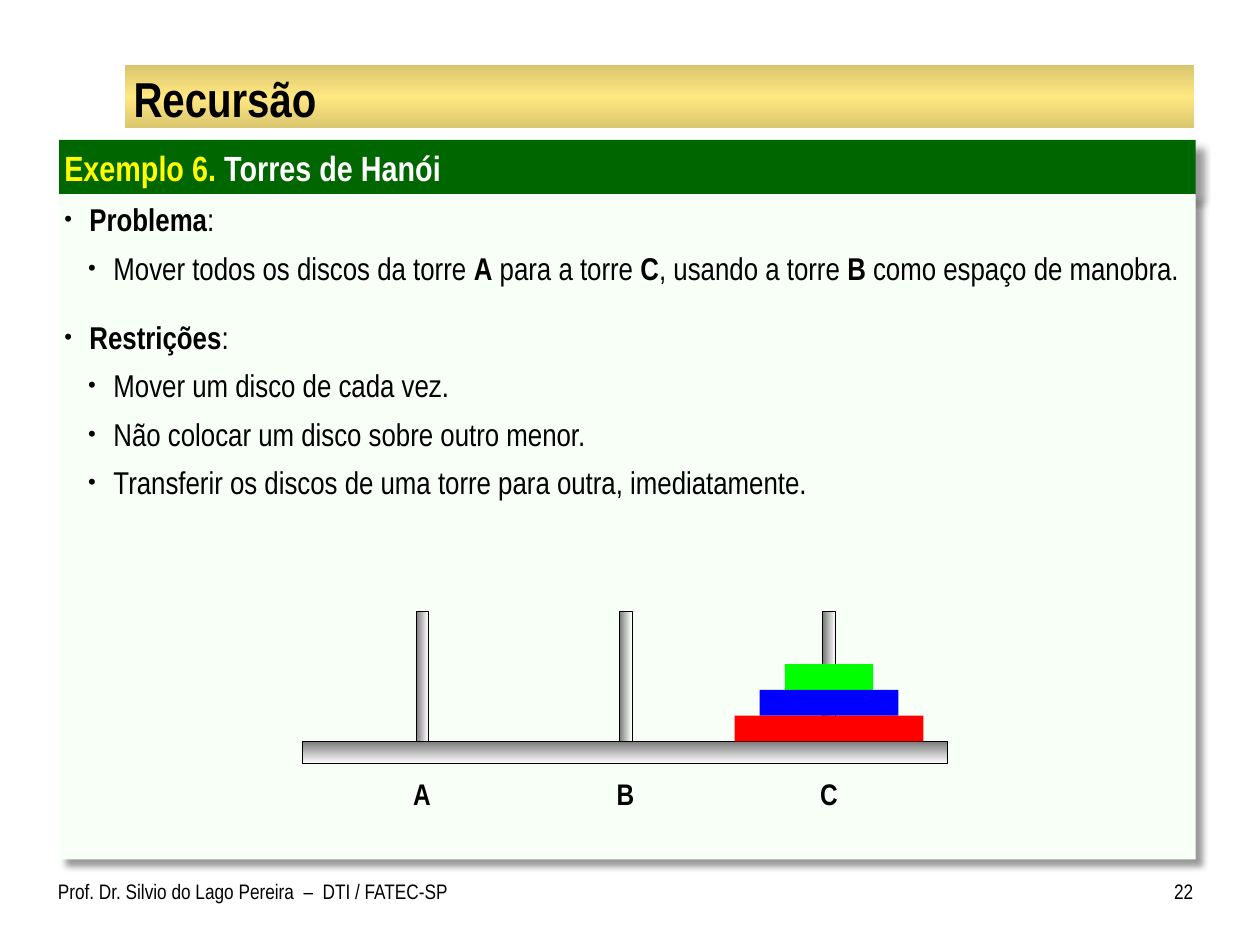
from copy import deepcopy

from lxml import etree
from pptx import Presentation
from pptx.dml.color import RGBColor
from pptx.enum import shapes, text
from pptx.oxml import ns
from pptx.util import Inches, Pt

FONT = "Arial Narrow"
BLACK = RGBColor(0, 0, 0)
WHITE = RGBColor(255, 255, 255)
YELLOW = RGBColor(255, 255, 0)
DARK_GREEN = RGBColor(0x00, 0x66, 0x00)
PALE_GREEN = RGBColor(0xF7, 0xFF, 0xF7)
GRAY = RGBColor(0x76, 0x76, 0x76)
GOLD = RGBColor(0xDA, 0xC6, 0x6E)
LIGHT_GOLD = RGBColor(0xFF, 0xE7, 0x81)
RED = RGBColor(255, 0, 0)
GREEN = RGBColor(0, 255, 0)
BLUE = RGBColor(0, 0, 255)

SHADOW = (
    '<a:effectLst xmlns:a="http://schemas.openxmlformats.org/drawingml/2006/main">'
    '<a:outerShdw blurRad="50800" dist="76200" dir="2700000" algn="tl" rotWithShape="0">'
    '<a:srgbClr val="000000"><a:alpha val="40000"/></a:srgbClr>'
    "</a:outerShdw></a:effectLst>"
)

prs = Presentation()
prs.slide_width, prs.slide_height = Inches(10), Inches(7.5)
slide = prs.slides.add_slide(prs.slide_layouts[1])
tree = slide.shapes


def add_box(x, y, w, h, colors, angle=0, outlined=False):
    """Rectangle with one solid colour or an evenly spaced gradient."""
    sp = tree.add_shape(shapes.MSO_SHAPE.RECTANGLE, Inches(x), Inches(y), Inches(w), Inches(h))
    sp.shadow.inherit = False
    if len(colors) == 1:
        sp.fill.solid()
        sp.fill.fore_color.rgb = colors[0]
    else:
        sp.fill.gradient()
        sp.fill.gradient_angle = angle
        stops = sp._element.spPr.find(ns.qn("a:gradFill")).find(ns.qn("a:gsLst"))
        while len(stops) < len(colors):
            stops.append(deepcopy(stops[0]))
        for i, (stop, color) in enumerate(zip(sp.fill.gradient_stops, colors)):
            stop.position = i / (len(colors) - 1)
            stop.color.rgb = color
    if outlined:
        sp.line.color.rgb = BLACK
        sp.line.width = Pt(0.25)
    else:
        sp.line.fill.background()
    return sp


def set_text(sp, content, size, margins, align=text.PP_ALIGN.LEFT,
             anchor=text.MSO_ANCHOR.TOP, bold=False, wrap=True):
    """Write one paragraph; margins are left, top, right, bottom."""
    tf = sp.text_frame
    tf.auto_size = text.MSO_AUTO_SIZE.NONE
    tf.word_wrap = wrap
    tf.vertical_anchor = anchor
    tf.margin_left, tf.margin_top, tf.margin_right, tf.margin_bottom = map(Inches, margins)
    p = tf.paragraphs[0]
    p.text = content
    p.alignment = align
    p.font.name, p.font.size, p.font.bold = FONT, Pt(size), bold
    p.font.color.rgb = BLACK
    return p


# Title on a gold band
band = add_box(0.99, 0.52, 8.49, 0.5, [GOLD, LIGHT_GOLD, GOLD], 270)
title = tree.title
title.left, title.top, title.width, title.height = map(Inches, (1, 0.54, 8.47, 0.47))
set_text(title, "Recursão", 28, (0.06, 0.01, 0.06, 0.01),
         anchor=text.MSO_ANCHOR.MIDDLE, bold=True)

# Example heading
heading = add_box(0.47, 1.11, 9.02, 0.44, [DARK_GREEN])
p = set_text(heading, "Exemplo 6.", 20, (0.04, 0.05, 0.04, 0.05), bold=True)
p.runs[0].font.color.rgb = YELLOW
r = p.add_run()
r.text = " Torres de Hanói"
r.font.color.rgb = WHITE

# Band and heading lie behind the placeholders
for sp in (heading, band):
    tree._spTree.insert(2, sp._element)

# Body list: level, space before, runs alternating between plain and bold
items = [
    (0, 0, ["", "Problema", ":"]),
    (1, 6, ["Mover todos os discos da torre ", "A", " para a torre ", "C",
            ", usando a torre ", "B", " como espaço de manobra."]),
    (0, 18, ["", "Restrições", ":"]),
    (1, 6, ["Mover um disco de cada vez."]),
    (1, 6, ["Não colocar um disco sobre outro menor."]),
    (1, 6, ["Transferir os discos de uma torre para outra, imediatamente."]),
]
body = tree.placeholders[1]
body.left, body.top, body.width, body.height = map(Inches, (0.47, 1.54, 9.02, 5.28))
body.fill.solid()
body.fill.fore_color.rgb = PALE_GREEN
tf = body.text_frame
tf.auto_size = text.MSO_AUTO_SIZE.NONE
tf.word_wrap = True
tf.vertical_anchor = text.MSO_ANCHOR.TOP
tf.margin_left = tf.margin_right = Inches(0.04)
tf.margin_top = tf.margin_bottom = Inches(0.05)
for i, (level, before, parts) in enumerate(items):
    p = tf.add_paragraph() if i else tf.paragraphs[0]
    p.level = level
    p.space_before = Pt(before)
    p.font.name, p.font.size = FONT, Pt(18)
    p.font.color.rgb = BLACK
    for j, part in enumerate(parts):
        if part:
            r = p.add_run()
            r.text = part
            r.font.bold = j % 2 == 1
    pPr = p._p.get_or_add_pPr()
    pPr.set("marL", str(Inches((0.2, 0.39)[level])))
    pPr.set("indent", str(Inches(-0.2)))
    bullet = [("buSzPct", "val", "70000"), ("buFont", "typeface", "Arial"), ("buChar", "char", "•")]
    at = pPr.index(pPr.find(ns.qn("a:defRPr")))
    for k, (tag, key, value) in enumerate(bullet):
        el = etree.Element(ns.qn("a:" + tag))
        el.set(key, value)
        pPr.insert(at + k, el)

# Shadows of the heading and the body
for sp in (heading, body):
    sp.shadow.inherit = False
    spPr = sp._element.spPr
    spPr.replace(spPr.find(ns.qn("a:effectLst")), etree.fromstring(SHADOW))

# Footer and page number
footer = tree.add_textbox(Inches(0.46), Inches(6.92), Inches(3.27), Inches(0.42))
set_text(footer, "Prof. Dr. Silvio do Lago Pereira  –  DTI / FATEC-SP", 12, (0, 0.05, 0.1, 0.05))
number = tree.add_textbox(Inches(9.08), Inches(6.92), Inches(0.39), Inches(0.42))
set_text(number, "22", 12, (0.1, 0.05, 0, 0.05), align=text.PP_ALIGN.RIGHT)

# Base and the three labelled towers
add_box(2.4, 5.88, 5.12, 0.18, [GRAY, WHITE], 270, outlined=True)
for i, name in enumerate("ABC"):
    center = 3.35 + 1.615 * i
    add_box(center - 0.05, 4.85, 0.1, 1.03, [GRAY, WHITE], outlined=True)
    label = tree.add_textbox(Inches(center - 0.2), Inches(6.09), Inches(0.4), Inches(0.41))
    set_text(label, name, 17, (0.1, 0.05, 0.1, 0.05), align=text.PP_ALIGN.CENTER,
             anchor=text.MSO_ANCHOR.MIDDLE, bold=True, wrap=False)

# Discs stacked on the last tower, smallest on top
for i, color in enumerate((GREEN, BLUE, RED)):
    width = 0.7 + 0.4 * i
    add_box(center - width / 2, 5.27 + 0.205 * i, width, 0.205, [color])

prs.save("out.pptx")
